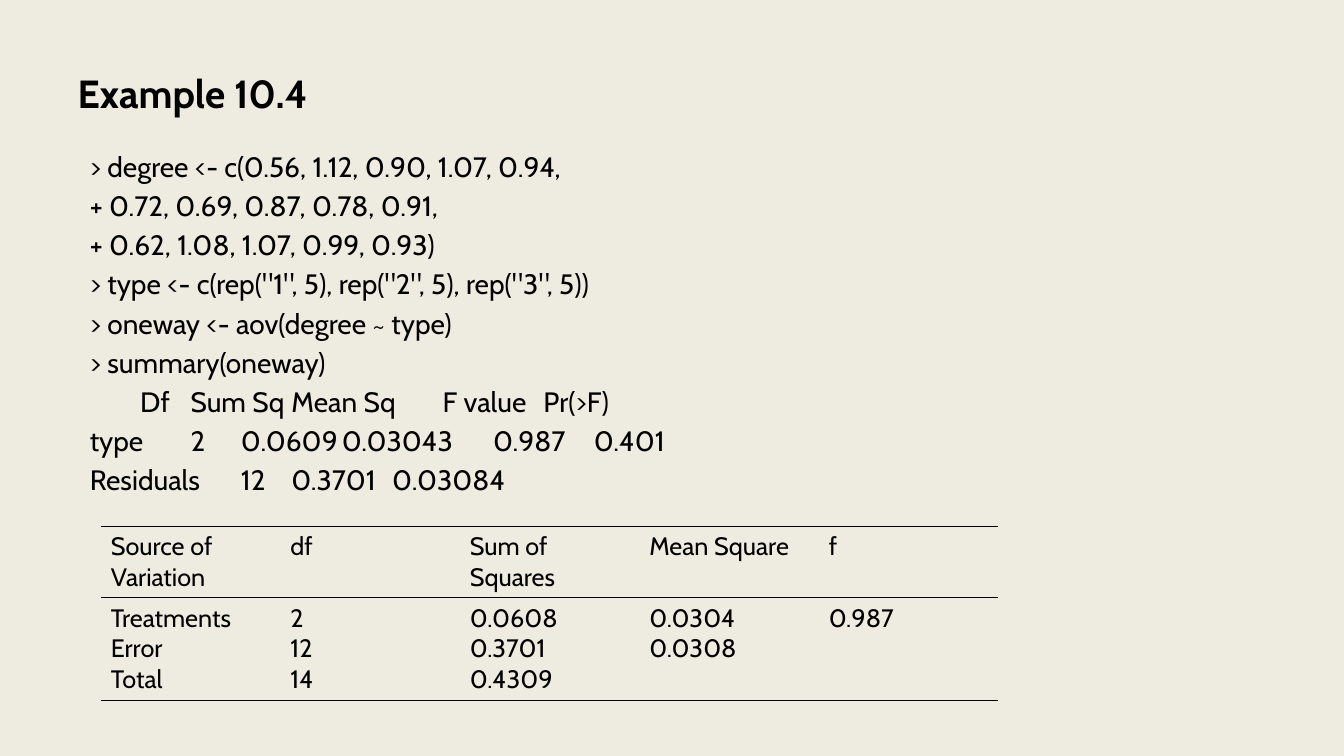
from dataclasses import dataclass

from lxml.etree import SubElement
from pptx import Presentation
from pptx.dml.color import RGBColor
from pptx.enum.text import MSO_ANCHOR, MSO_AUTO_SIZE, PP_ALIGN
from pptx.oxml import parse_xml
from pptx.oxml.ns import nsdecls, qn
from pptx.util import Inches, Pt

BACKGROUND = "EEECE1"
INK = "000000"
FONT = "Cabin"


@dataclass(frozen=True)
class ConsoleLine:
    text: str
    tabs: tuple[float, ...] = ()


CONSOLE = (
    ConsoleLine("> degree <- c(0.56, 1.12, 0.90, 1.07, 0.94,"),
    ConsoleLine("+ 0.72, 0.69, 0.87, 0.78, 0.91,"),
    ConsoleLine("+ 0.62, 1.08, 1.07, 0.99, 0.93)"),
    ConsoleLine('> type <- c(rep("1", 5), rep("2", 5), rep("3", 5))'),
    ConsoleLine("> oneway <- aov(degree ~ type)"),
    ConsoleLine("> summary(oneway)"),
    ConsoleLine("\tDf\tSum Sq\tMean Sq\tF value\tPr(>F)", (1.38, 1.97, 3.16, 4.57, 5.77)),
    ConsoleLine("type\t2\t0.0609\t0.03043\t0.987\t0.401", (1.35, 1.93, 3.26, 4.87, 6.09)),
    ConsoleLine("Residuals\t12\t0.3701\t0.03084", (1.28, 1.84, 3.12)),
)

ANOVA_ROWS = (
    ("Source of\nVariation", "df", "Sum of\nSquares", "Mean Square", "f"),
    (
        "Treatments\nError\nTotal",
        "2\n12\n14",
        "0.0608\n0.3701\n0.4309",
        "0.0304\n0.0308",
        "0.987",
    ),
)
ROW_HEIGHTS = (0.71, 1.01)
COLUMN_WIDTH = 1.78


def colour(code: str) -> RGBColor:
    return RGBColor.from_string(code)


def style(para, size: float, bold: bool = False) -> None:
    para.alignment = PP_ALIGN.LEFT
    para.font.name = FONT
    para.font.size = Pt(size)
    para.font.bold = bold
    para.font.color.rgb = colour(INK)


def place(shape, left: float, top: float, width: float, height: float) -> None:
    shape.left, shape.top = Inches(left), Inches(top)
    shape.width, shape.height = Inches(width), Inches(height)


def write_title(title, text: str) -> None:
    place(title, 0.67, 0.3, 12, 1.25)
    frame = title.text_frame
    frame.text = text
    frame.vertical_anchor = MSO_ANCHOR.MIDDLE
    style(frame.paragraphs[0], 28, bold=True)


def write_console(body, lines: tuple[ConsoleLine, ...]) -> None:
    place(body, 0.79, 1.43, 12.07, 5.49)
    frame = body.text_frame
    frame.auto_size = MSO_AUTO_SIZE.NONE
    frame.text = "\n".join(line.text for line in lines)
    for index, (para, line) in enumerate(zip(frame.paragraphs, lines)):
        properties = para._p.get_or_add_pPr()
        properties.set("marL", "0")
        properties.set("indent", "0")
        SubElement(properties, qn("a:buNone"))
        if line.tabs:
            stops = SubElement(properties, qn("a:tabLst"))
            for stop in line.tabs:
                SubElement(stops, qn("a:tab"), pos=str(Inches(stop)), algn="l")
        para.space_before = Pt(4 if index else 0)
        style(para, 20)


def rule_cell(cell) -> None:
    cell.fill.background()
    properties = cell._tc.get_or_add_tcPr()
    visible = f'<a:solidFill><a:srgbClr val="{INK}"/></a:solidFill>'
    edges = {"lnL": "<a:noFill/>", "lnR": "<a:noFill/>", "lnT": visible, "lnB": visible}
    for index, (edge, paint) in enumerate(edges.items()):
        line = f'<a:{edge} {nsdecls("a")} w="{Pt(1)}">{paint}</a:{edge}>'
        properties.insert(index, parse_xml(line))


def draw_anova(page) -> None:
    columns = len(ANOVA_ROWS[0])
    frame = page.shapes.add_table(
        len(ANOVA_ROWS), columns, Inches(1), Inches(5.22),
        Inches(COLUMN_WIDTH * columns), Inches(sum(ROW_HEIGHTS)),
    )
    table = frame.table
    table.first_row = False
    table.horz_banding = False
    for column in table.columns:
        column.width = Inches(COLUMN_WIDTH)
    for row, height, texts in zip(table.rows, ROW_HEIGHTS, ANOVA_ROWS):
        row.height = Inches(height)
        for cell, text in zip(row.cells, texts):
            cell.text = text
            rule_cell(cell)
            for para in cell.text_frame.paragraphs:
                style(para, 18)


def main() -> None:
    deck = Presentation()
    deck.slide_width, deck.slide_height = Inches(13.33), Inches(7.5)
    page = deck.slides.add_slide(deck.slide_layouts[1])
    page.background.fill.solid()
    page.background.fill.fore_color.rgb = colour(BACKGROUND)
    write_title(page.shapes.title, "Example 10.4")
    write_console(page.placeholders[1], CONSOLE)
    draw_anova(page)
    deck.save("out.pptx")


if __name__ == "__main__":
    main()
